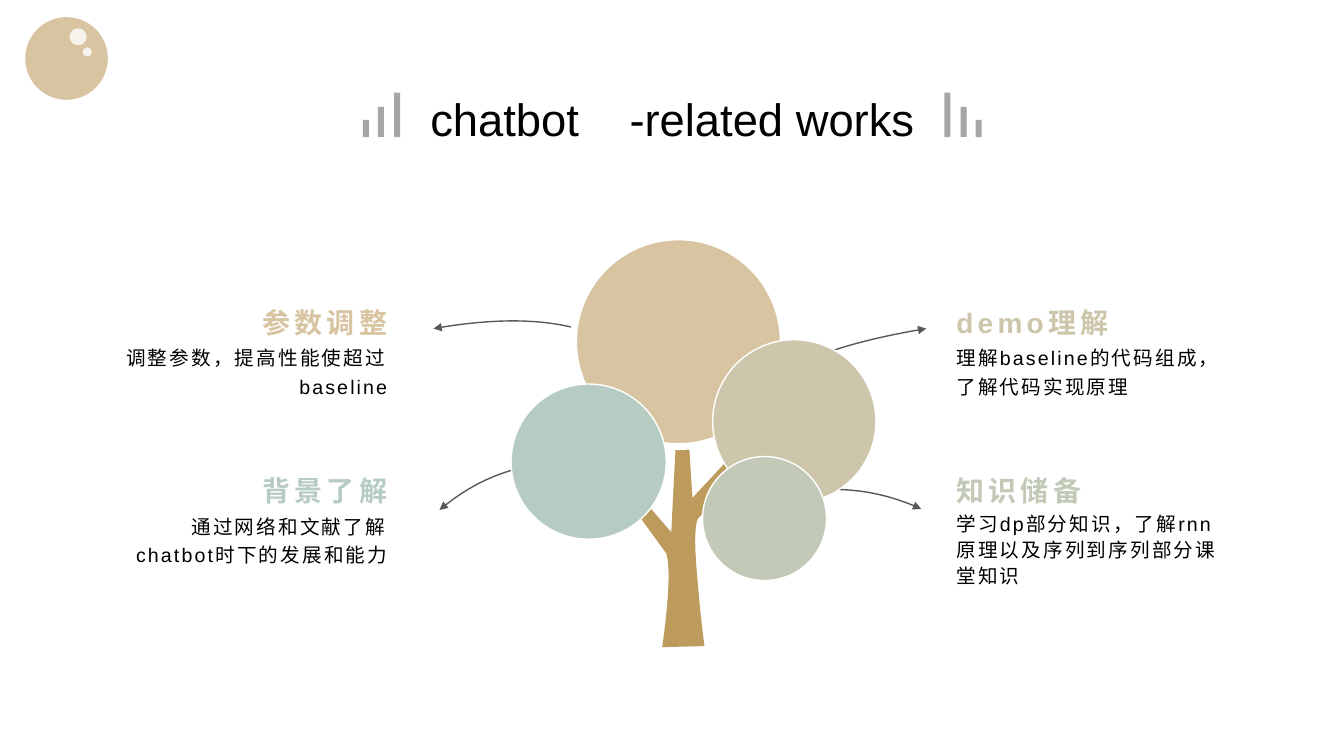
import math

from lxml import etree
from pptx import Presentation
from pptx.dml.color import RGBColor
from pptx.enum.shapes import MSO_SHAPE
from pptx.enum.text import MSO_ANCHOR, MSO_AUTO_SIZE, PP_ALIGN
from pptx.oxml.ns import qn
from pptx.util import Inches, Pt

RECT, OVAL = MSO_SHAPE.RECTANGLE, MSO_SHAPE.OVAL
LEFT, CENTER, RIGHT = PP_ALIGN.LEFT, PP_ALIGN.CENTER, PP_ALIGN.RIGHT
TOP, MIDDLE, BOTTOM = MSO_ANCHOR.TOP, MSO_ANCHOR.MIDDLE, MSO_ANCHOR.BOTTOM

BLACK = RGBColor(0x00, 0x00, 0x00)
WHITE = RGBColor(0xFF, 0xFF, 0xFF)
BAR_GREY = RGBColor(0xA6, 0xA6, 0xA6)
ARROW_GREY = RGBColor(0x59, 0x59, 0x59)
TAN = RGBColor(0xD8, 0xC4, 0xA0)
KHAKI = RGBColor(0xCD, 0xC6, 0xAB)
TEAL = RGBColor(0xB6, 0xCB, 0xC2)
SAGE = RGBColor(0xC2, 0xC9, 0xB6)
TRUNK = RGBColor(0xBD, 0x9B, 0x5D)
SHINE = RGBColor(0xF7, 0xF3, 0xEC)

FONT = "Arial"

# (text, letter spacing): the wide gap is one space with extra spacing
TITLE = [("chatbot", 0), (" ", 27), ("-related works", 0)]

# heading, body, column, row, colour, body line spacing
TOPICS = [
    ("参数调整", "调整参数，提高性能使超过baseline", 0, 0, TAN, 1.2),
    ("背景了解", "通过网络和文献了解chatbot时下的发展和能力", 0, 1, TEAL, 1.2),
    ("demo理解", "理解baseline的代码组成，了解代码实现原理", 1, 0, KHAKI, 1.2),
    ("知识储备", "学习dp部分知识，了解rnn原理以及序列到序列部分课堂知识",
     1, 1, SAGE, 1.1),
]
COLUMNS = [(1.12, RIGHT), (9.39, LEFT)]
TOPIC_TOP, TOPIC_PITCH, TOPIC_WIDTH = 2.83, 1.67, 2.82

# left, top, diameter, fill, outline width
CROWN = [
    (5.69, 2.35, 2.08, TAN, 5),
    (7.07, 3.37, 1.62, KHAKI, 1),
    (5.07, 3.81, 1.54, TEAL, 1),
    (6.97, 4.53, 1.23, SAGE, 1),
]
BUBBLE = [
    (0.25, 0.17, 0.82, TAN),
    (0.69, 0.28, 0.17, SHINE),
    (0.82, 0.47, 0.09, SHINE),
]

# distance of a bar's centre from the title's centre, height
BARS = [(2.73, 0.44), (2.89, 0.3), (3.04, 0.17)]
BAR_AXIS, BAR_BASE, BAR_WIDTH = 6.67, 1.36, 0.06

# Outlines: a start point, then one point per line or three per curve
# box, rotation, outline as it lies on the slide
ARROWS = [
    ((4.36, 4.59, 1.74, 0.47), 0,
     [(4.36, 5.06), ((4.83, 4.66), (5.41, 4.52), (6.1, 4.62))]),
    ((4.41, 2.98, 2.03, 1.1), 345,
     [(4.3, 3.26), ((5.38, 3.07), (6.13, 3.25), (6.54, 3.8))]),
    ((7.35, 4.8, 1.76, 0.46), 346.1,
     [(9.14, 5.05), ((8.6, 4.8), (7.99, 4.8), (7.32, 5.04))]),
    ((7.45, 3.39, 1.77, 0.44), 351.6,
     [(9.19, 3.26), ((8.29, 3.41), (7.73, 3.64), (7.5, 3.95))]),
]
TREE_BOX = (6.13, 4.3, 1.23, 2.12)
TREE = [
    (6.57, 6.42), ((6.57, 6.42), (6.68, 5.7), (6.61, 5.49)),
    (6.13, 4.83), (6.21, 4.76), (6.66, 5.28), (6.71, 4.3), (6.83, 4.3),
    (6.87, 4.94), (7.27, 4.51), (7.36, 4.63), (6.94, 5.13),
    ((6.94, 5.13), (6.87, 5.13), (6.91, 5.63)),
    ((6.95, 6.14), (6.99, 6.41), (6.99, 6.41)),
    ((6.99, 6.41), (6.57, 6.42), (6.57, 6.42)),
]


def paint(sp, fill=None, line=None, width=1):
    """Set fill and line, and drop the shadow."""
    sp.shadow.inherit = False
    if fill is None:
        sp.fill.background()
    else:
        sp.fill.solid()
        sp.fill.fore_color.rgb = fill
    if line is None:
        sp.line.fill.background()
    else:
        sp.line.color.rgb = line
        sp.line.width = Pt(width)


def add_preset(kind, left, top, width, height, fill, line=None, line_width=1):
    """Add a preset shape."""
    sp = s.shapes.add_shape(kind, Inches(left), Inches(top),
                            Inches(width), Inches(height))
    paint(sp, fill, line, line_width)


def to_local(point, box, rotation):
    """Turn a slide point back into the unrotated frame of a box."""
    left, top, width, height = box
    angle = math.radians(-rotation)
    dx, dy = point[0] - left - width / 2, point[1] - top - height / 2
    return (dx * math.cos(angle) - dy * math.sin(angle) + width / 2,
            dx * math.sin(angle) + dy * math.cos(angle) + height / 2)


def add_outline(outline, box, rotation=0, close=False, **style):
    """Add a freeform of lines and cubic curves that fills a box."""
    left, top, width, height = (Inches(v) for v in box)
    builder = s.shapes.build_freeform(left, top)
    builder.add_line_segments([(left + width, top + height)], close=False)
    sp = builder.convert_to_shape()
    sp.rotation = rotation
    geometry = next(sp._element.iter(qn("a:path")))
    for child in list(geometry):
        geometry.remove(child)
    for i, step in enumerate(outline):
        curved = len(step) == 3
        tag = "a:moveTo" if i == 0 else "a:cubicBezTo" if curved else "a:lnTo"
        command = etree.SubElement(geometry, qn(tag))
        for point in step if curved else (step,):
            x, y = to_local(point, box, rotation)
            etree.SubElement(command, qn("a:pt"),
                             x=str(Inches(x)), y=str(Inches(y)))
    if close:
        etree.SubElement(geometry, qn("a:close"))
    paint(sp, **style)
    return sp


def set_text(sp, box, runs, size, color=BLACK, bold=False, align=LEFT,
             anchor=TOP, spacing=1.2, insets=(0.05, 0.05)):
    """Place a text shape and write one formatted paragraph of runs."""
    sp.left, sp.top, sp.width, sp.height = (Inches(v) for v in box)
    tf = sp.text_frame
    tf.word_wrap = True
    tf.auto_size = MSO_AUTO_SIZE.NONE
    tf.vertical_anchor = anchor
    tf.margin_left = tf.margin_right = Inches(0.1)
    tf.margin_top, tf.margin_bottom = (Inches(v) for v in insets)
    p = tf.paragraphs[0]
    p.alignment = align
    p.line_spacing = spacing
    for text, tracking in runs:
        r = p.add_run()
        r.text = text
        r.font.name = FONT
        r.font.size = Pt(size)
        r.font.bold = bold
        r.font.color.rgb = color
        if tracking:
            r._r.get_or_add_rPr().set("spc", str(int(tracking * 100)))


def add_text(box, *args, **style):
    """Add a text box."""
    sp = s.shapes.add_textbox(*(Inches(v) for v in box))
    set_text(sp, box, *args, **style)


prs = Presentation()
prs.slide_width, prs.slide_height = Inches(40 / 3), Inches(7.5)
s = prs.slides.add_slide(prs.slide_layouts[5])

set_text(s.shapes.title, (3.97, 0.72, 5.4, 0.81), TITLE, 32.4,
         align=CENTER, anchor=MIDDLE)

for box, rotation, arrow in ARROWS:
    sp = add_outline(arrow, box, rotation, line=ARROW_GREY)
    ln = sp.line._get_or_add_ln()
    for tag, end in (("a:headEnd", "triangle"), ("a:tailEnd", "oval")):
        etree.SubElement(ln, qn(tag), type=end)

for side in (-1, 1):
    for offset, height in BARS:
        add_preset(RECT, BAR_AXIS + side * offset - BAR_WIDTH / 2,
                   BAR_BASE - height, BAR_WIDTH, height, BAR_GREY)

for heading, body, column, row, color, spacing in TOPICS:
    left, align = COLUMNS[column]
    top = TOPIC_TOP + row * TOPIC_PITCH
    add_text((left, top, TOPIC_WIDTH, 0.53), [(heading, 3)], 20, color=color,
             bold=True, align=align, anchor=BOTTOM, insets=(0.05, 0))
    add_text((left, top + 0.56, TOPIC_WIDTH, 0.87), [(body, 1.5)], 14,
             align=align, spacing=spacing, insets=(0, 0.05))

add_outline(TREE, TREE_BOX, close=True, fill=TRUNK)
for left, top, size, color, width in CROWN:
    add_preset(OVAL, left, top, size, size, color, WHITE, width)
for left, top, size, color in BUBBLE:
    add_preset(OVAL, left, top, size, size, color)

prs.save("out.pptx")
